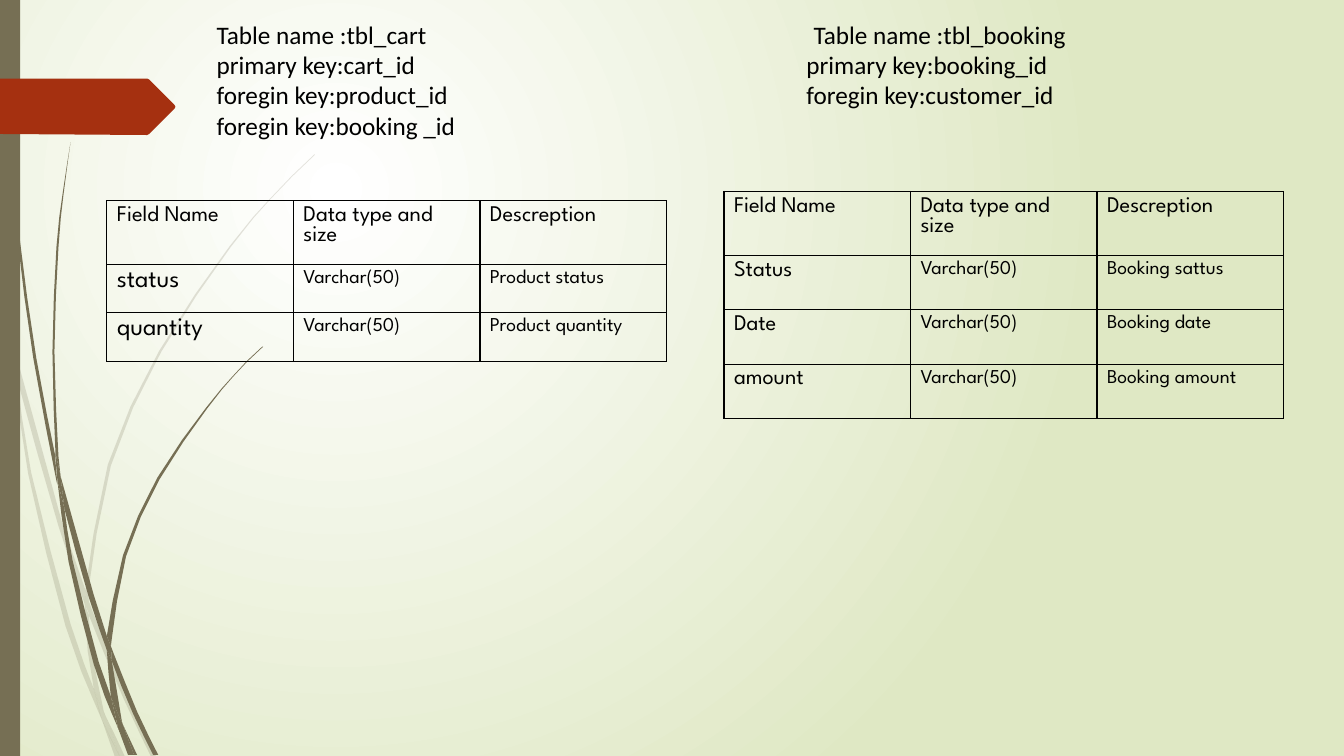
from math import dist

from lxml import etree
from pptx import Presentation
from pptx.dml.color import RGBColor
from pptx.enum.shapes import MSO_SHAPE
from pptx.enum.text import MSO_ANCHOR
from pptx.oxml.ns import qn
from pptx.util import Pt

RECTANGLE = MSO_SHAPE.RECTANGLE
TOP = MSO_ANCHOR.TOP
PX = 9144  # 100 px to the inch
WIDTH, HEIGHT = 1333, 750
LONG_SPAN = 40  # longer spans get a midpoint

BLACK, OLIVE, RED = "000000", "766F54", "A53010"
PALE_GREEN, WHITE = "DFE8C4", "FFFFFF"
HEADING_FONT, TABLE_FONT = "Calibri", "League Spartan"

# Each blade of grass is a list of smooth edges, joined by straight lines.
FAINT_BLADES = [
    [[(11, 350), (9, 322), (0, 282)], [(0, 299), (10, 344)]],
    [[(14, 345), (17, 376), (58, 522), (84, 599)], [(85, 586), (62, 520)]],
    [[(88, 596), (88, 610), (123, 694), (150, 751)], [(155, 751), (127, 692), (92, 607)]],
    [[(119, 751), (124, 751), (105, 711)]],
    [[(101, 714), (93, 683), (70, 619), (31, 469), (17, 376), (11, 350)],
     [(11, 350), (28, 470), (65, 621), (92, 693)]],
    [[(84, 599), (87, 646), (93, 683), (96, 692), (105, 711)],
     [(103, 706), (91, 646), (88, 610)]],
    [[(88, 596), (88, 584), (110, 462), (160, 349), (229, 245), (268, 198),
      (290, 175), (312, 154)],
     [(312, 153), (289, 175), (268, 197), (228, 244), (158, 348), (107, 461),
      (85, 584), (85, 586)]],
    [[(101, 714), (114, 751), (119, 751)]],
    [[(88, 608), (88, 596), (85, 586), (84, 599)]],
    [[(96, 692), (93, 683), (99, 707), (101, 714), (119, 751)], [(105, 711)]],
]
DARK_BLADES = [
    [[(3, 0), (4, 48), (7, 110), (17, 233), (33, 355), (56, 477), (57, 481)],
     [(55, 457), (55, 453), (36, 355), (19, 232), (8, 109), (5, 48), (4, 0)]],
    [[(60, 472), (64, 505), (88, 592), (106, 645)], [(106, 633), (106, 631), (93, 590)]],
    [[(110, 641), (111, 656), (132, 708), (152, 749)], [(157, 749), (136, 706), (113, 649)]],
    [[(117, 722), (110, 691), (98, 657), (72, 556), (64, 505), (57, 477)],
     [(57, 477), (68, 557), (93, 659), (111, 708)]],
    [[(60, 472), (58, 453), (54, 349), (58, 245), (63, 193), (70, 141)],
     [(70, 141), (62, 193), (56, 245), (52, 349), (55, 449)]],
    [[(133, 749), (136, 749), (122, 719)]],
    [[(57, 477), (64, 505), (60, 472)], [(55, 449), (55, 453)]],
    [[(110, 641), (111, 633), (125, 552), (158, 476), (205, 406), (231, 374),
      (245, 359), (261, 344)],
     [(260, 344), (245, 358), (231, 373), (204, 405), (156, 474), (122, 551),
      (106, 631)]],
    [[(117, 722), (127, 749), (131, 749)]],
    [[(106, 645), (110, 691), (116, 706), (122, 719)], [(121, 716), (111, 656), (109, 651)]],
    [[(106, 645), (109, 651), (111, 656)], [(110, 641), (106, 631)]],
    [[(116, 706), (110, 691), (116, 717), (117, 722), (130, 749)], [(133, 749), (122, 719)]],
]
MARKER = [(0, 78), (146, 78), (148, 79), (173, 104), (174, 106), (173, 108),
          (148, 133), (146, 134), (0, 133)]

# Paragraphs with the tab stop of their second column.
KEYS = [
    ("Table name :tbl_cart\tTable name :tbl_booking", 592),
    ("primary key:cart_id\tprimary key:booking_id\v"
     "foregin key:product_id\tforegin key:customer_id\v"
     "foregin key:booking _id", 585),
]
FIELD_HEADER = ("Field Name", "Data type and size", "Descreption")
CART_FIELDS = [("status", "Varchar(50)", "Product status"),
               ("quantity", "Varchar(50)", "Product quantity")]
BOOKING_FIELDS = [("Status", "Varchar(50)", "Booking sattus"),
                  ("Date", "Varchar(50)", "Booking date"),
                  ("amount", "Varchar(50)", "Booking amount")]


def rgb(color):
    return RGBColor.from_string(color)


def smooth(points):
    """Add to each long span the midpoint of a Catmull-Rom curve."""
    padded = [points[0], *points, points[-1]]
    curve = [points[0]]
    for a, b, c, d in zip(padded, padded[1:], padded[2:], padded[3:]):
        if dist(b, c) > LONG_SPAN:
            curve.append(tuple((9 * (q + r) - p - s) / 16
                               for p, q, r, s in zip(a, b, c, d)))
        curve.append(c)
    return curve


class SlideBuilder:
    def __init__(self, presentation):
        self.slide = presentation.slides.add_slide(presentation.slide_layouts[6])

    def background(self, inner, outer):
        """Fill the slide with a circular gradient centred at a quarter of its size."""
        fill = self.slide.background.fill
        fill.gradient()
        for stop, color, position in zip(fill.gradient_stops, (inner, outer), (0, 1)):
            stop.color.rgb = rgb(color)
            stop.position = position
        gradient = self.slide.element.find(".//" + qn("a:gradFill"))
        gradient.remove(gradient.find(qn("a:lin")))
        circle = etree.SubElement(gradient, qn("a:path"), path="circle")
        etree.SubElement(circle, qn("a:fillToRect"),
                         l="50000", t="50000", r="100000", b="100000")

    def paint(self, shape, color, opacity=100):
        shape.shadow.inherit = False
        shape.fill.solid()
        shape.fill.fore_color.rgb = rgb(color)
        shape.line.fill.background()
        if opacity < 100:
            value = shape.element.spPr.find(".//" + qn("a:srgbClr"))
            etree.SubElement(value, qn("a:alpha"), val=str(opacity * 1000))

    def rectangle(self, left, top, width, height, color):
        shape = self.slide.shapes.add_shape(
            RECTANGLE, left * PX, top * PX, width * PX, height * PX)
        self.paint(shape, color)

    def outline(self, points, color, opacity=100, shapes=None):
        (x, y), *rest = [(x * PX, y * PX) for x, y in points]
        builder = (shapes or self.slide.shapes).build_freeform(x, y)
        builder.add_line_segments(rest, close=True)
        self.paint(builder.convert_to_shape(), color, opacity)

    def grass(self, blades, color, opacity=100):
        group = self.slide.shapes.add_group_shape()
        for edges in blades:
            points = [point for edge in edges for point in smooth(edge)]
            self.outline(points, color, opacity, group.shapes)

    def tabbed_text(self, left, top, width, height, paragraphs):
        box = self.slide.shapes.add_textbox(left * PX, top * PX, width * PX, height * PX)
        frame = box.text_frame
        frame.word_wrap = True
        for index, (text, stop) in enumerate(paragraphs):
            paragraph = frame.add_paragraph() if index else frame.paragraphs[0]
            paragraph.text = text
            self.style(paragraph, HEADING_FONT, 18)
            tabs = etree.Element(qn("a:tabLst"))
            etree.SubElement(tabs, qn("a:tab"), pos=str(stop * PX), algn="l")
            paragraph._p.get_or_add_pPr().insert(0, tabs)

    def style(self, paragraph, font, size):
        paragraph.font.name = font
        paragraph.font.size = Pt(size)
        paragraph.font.color.rgb = rgb(BLACK)

    def borders(self, cell):
        properties = cell._tc.get_or_add_tcPr()
        for index, side in enumerate(("lnL", "lnR", "lnT", "lnB")):
            line = etree.Element(qn("a:" + side), w=str(Pt(1)))
            fill = etree.SubElement(line, qn("a:solidFill"))
            etree.SubElement(fill, qn("a:srgbClr"), val=BLACK)
            properties.insert(index, line)

    def field_table(self, left, top, row_height, fields, name_size):
        rows = [FIELD_HEADER, *fields]
        heights = [63] + [row_height] * len(fields)
        table = self.slide.shapes.add_table(
            len(rows), 3, left * PX, top * PX, 555 * PX, sum(heights) * PX).table
        table.first_row = table.horz_banding = False
        for row, (values, height) in enumerate(zip(rows, heights)):
            table.rows[row].height = height * PX
            sizes = (name_size, 14, 14) if row else (16, 16, 16)
            for column, (value, size) in enumerate(zip(values, sizes)):
                cell = table.cell(row, column)
                cell.text = value
                cell.vertical_anchor = TOP
                cell.fill.background()
                self.style(cell.text_frame.paragraphs[0], TABLE_FONT, size)
                self.borders(cell)


def main():
    presentation = Presentation()
    presentation.slide_width = WIDTH * PX
    presentation.slide_height = HEIGHT * PX
    builder = SlideBuilder(presentation)
    builder.background(WHITE, PALE_GREEN)
    builder.grass(FAINT_BLADES, OLIVE, 20)
    builder.grass(DARK_BLADES, OLIVE)
    builder.rectangle(0, 0, 20, HEIGHT, OLIVE)
    builder.outline(MARKER, RED)
    builder.tabbed_text(205, 14, 1011, 222, KEYS)
    builder.field_table(106, 199, 48, CART_FIELDS, 18)
    builder.field_table(718, 190, 54, BOOKING_FIELDS, 16)
    presentation.save("out.pptx")


if __name__ == "__main__":
    main()
